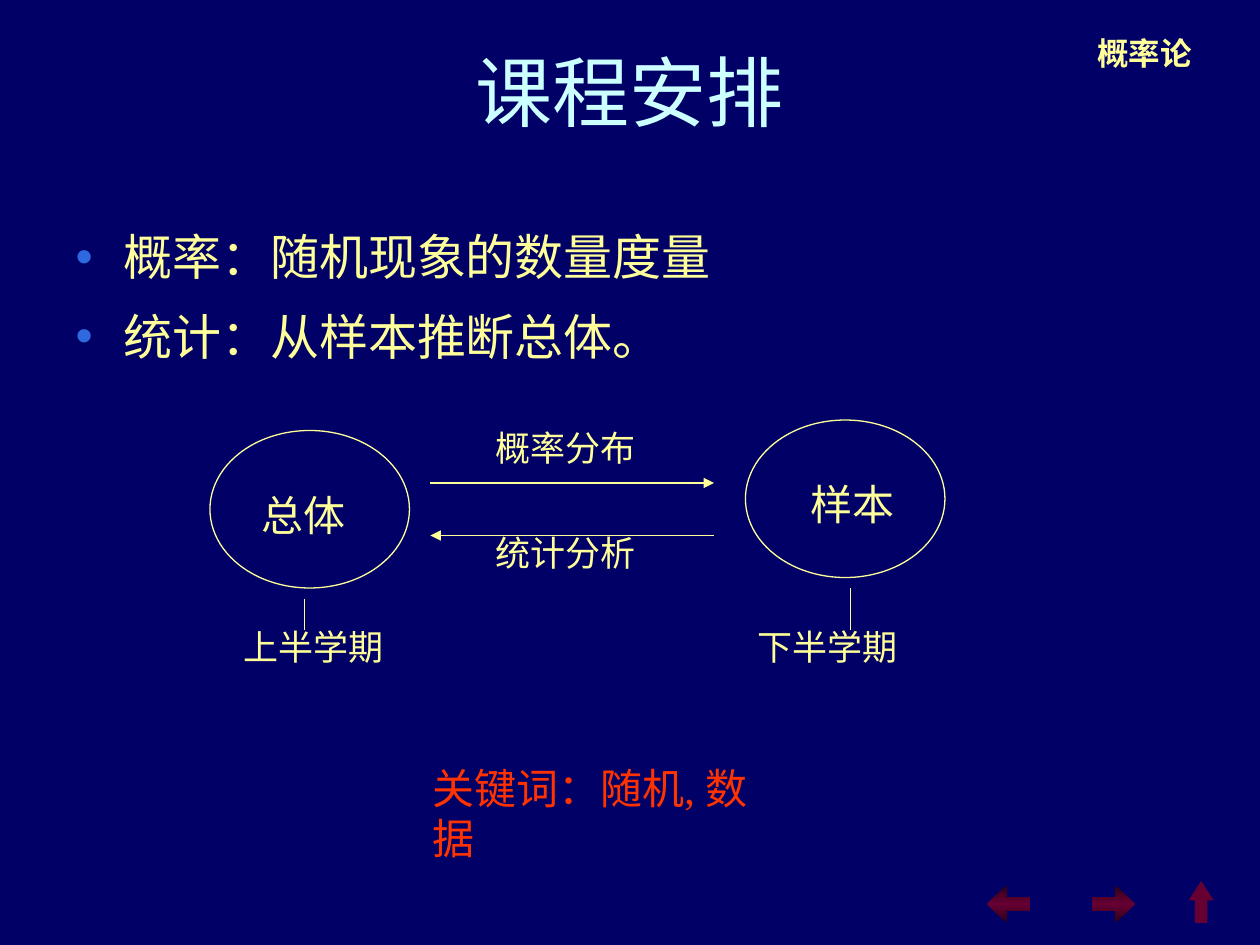
from copy import deepcopy

from lxml import etree
from pptx import Presentation
from pptx.dml.color import RGBColor
from pptx.enum.shapes import MSO_CONNECTOR as CONN, MSO_SHAPE as SHAPE
from pptx.enum.text import MSO_ANCHOR as ANCHOR, MSO_AUTO_SIZE as AUTO, PP_ALIGN as ALIGN
from pptx.oxml.ns import qn
from pptx.util import Inches, Pt

COLS, ROWS = 120, 90
YELLOW, CYAN, RED, BLUE = "FFFF99", "CCFFFF", "FF3300", "2F69DF"
DARK, WINE = "2F0018", "660033"

prs = Presentation()
prs.slide_width, prs.slide_height = Inches(10), Inches(7.5)
s = prs.slides.add_slide(prs.slide_layouts[1])
cell = prs.slide_width // COLS  # square cells: ROWS of them fill the height
rgb = RGBColor.from_string


def box(*cells):
    return [round(n * cell) for n in cells]


def write(sp, lines, size, color, align=ALIGN.LEFT, anchor=ANCHOR.TOP, bold=False, gap=0):
    tf = sp.text_frame
    frame = dict(word_wrap=True, auto_size=AUTO.NONE, vertical_anchor=anchor)
    for name, value in frame.items():
        setattr(tf, name, value)
    tf.text = "\n".join(lines)
    for i, p in enumerate(tf.paragraphs):
        p.alignment, p.space_before = align, Pt(gap if i else 0)
        for r in p.runs:
            font = dict(name="Times New Roman", size=Pt(size), bold=bold)
            for name, value in font.items():
                setattr(r.font, name, value)
            r.font.color.rgb = rgb(color)


s.background.fill.solid()
s.background.fill.fore_color.rgb = rgb("000066")

# Title and bulleted list
title, body = s.placeholders
title.left, title.top, title.width, title.height = box(6, 3.6, COLS - 12, 15)
write(title, ["课程安排"], 44, CYAN, ALIGN.CENTER)
body.left, body.top, body.width, body.height = box(6, 21, COLS - 12, 59.4)
write(body, ["概率：随机现象的数量度量", "统计：从样本推断总体。"], 28, YELLOW, gap=12)
for p in body.text_frame.paragraphs:
    pPr = p._p.get_or_add_pPr()
    pPr.set("marL", str(Inches(0.38)))
    pPr.set("indent", str(-Inches(0.38)))
    color = etree.SubElement(pPr, qn("a:buClr"))
    etree.SubElement(color, qn("a:srgbClr"), val=BLUE)
    etree.SubElement(pPr, qn("a:buChar"), char="•")

# Population and sample
for x, y in [(20, 41), (71, 40)]:
    sp = s.shapes.add_shape(SHAPE.OVAL, *box(x, y, 19, 15))
    sp.shadow.inherit = False
    sp.fill.background()
    sp.line.color.rgb, sp.line.width = rgb(YELLOW), Pt(0.75)

# Arrows between them, and stems down to the terms
for x1, y1, x2, y2, arrow in [
    (41, 46, 68, 46, True),
    (68, 51, 41, 51, True),
    (29, 57, 29, 60, False),
    (81, 56, 81, 60, False),
]:
    line = s.shapes.add_connector(CONN.STRAIGHT, *box(x1, y1, x2, y2))
    line.line.color.rgb, line.line.width = rgb(YELLOW), Pt(0.75)
    if arrow:
        etree.SubElement(line.line._get_or_add_ln(), qn("a:tailEnd"), type="triangle")
    etree.SubElement(line._element.spPr, qn("a:effectLst"))

# Labels
for text, x, y, w, h, size, color in [
    ("总体", 23.75, 46, 14, 6, 24, YELLOW),
    ("样本", 76, 45, 17, 6, 24, YELLOW),
    ("概率分布", 46, 40, 21, 5.25, 20, YELLOW),
    ("统计分析", 46, 50, 19, 5.25, 20, YELLOW),
    ("上半学期", 22, 59, 16, 5.25, 20, YELLOW),
    ("下半学期", 71, 59, 23, 5.25, 20, YELLOW),
    ("关键词：随机, 数据", 40, 72, 35, 18, 24, RED),
]:
    write(s.shapes.add_textbox(*box(x, y, w, h)), [text], size, color)

course = s.shapes.add_textbox(*box(103, 3.2, 12, 3.75))
write(course, ["概率论"], 18, YELLOW, ALIGN.CENTER, ANCHOR.MIDDLE, bold=True)

# Navigation arrows
for kind, x, y, w, h, adj, shaded in [
    (SHAPE.LEFT_ARROW, 94, 84.35, 4.1, 3.5, (0.36, 0.53), True),
    (SHAPE.RIGHT_ARROW, 104, 84.35, 4.1, 3.5, (0.36, 0.53), True),
    (SHAPE.UP_ARROW, 113.2, 83.9, 2.4, 4, (0.5, 0.77), False),
]:
    sp = s.shapes.add_shape(kind, *box(x, y, w, h))
    sp.shadow.inherit = False
    sp.adjustments[0], sp.adjustments[1] = adj
    sp.line.fill.background()
    if shaded:
        sp.fill.gradient()
        sp.fill.gradient_angle = 90
        stops = sp._element.spPr.find(".//" + qn("a:gsLst"))
        stops.append(deepcopy(stops[-1]))
        for stop, pos, color in zip(sp.fill.gradient_stops, (0, 0.5, 1), (DARK, WINE, DARK)):
            stop.position, stop.color.rgb = pos, rgb(color)
    else:
        sp.fill.solid()
        sp.fill.fore_color.rgb = rgb(WINE)

prs.save("out.pptx")
